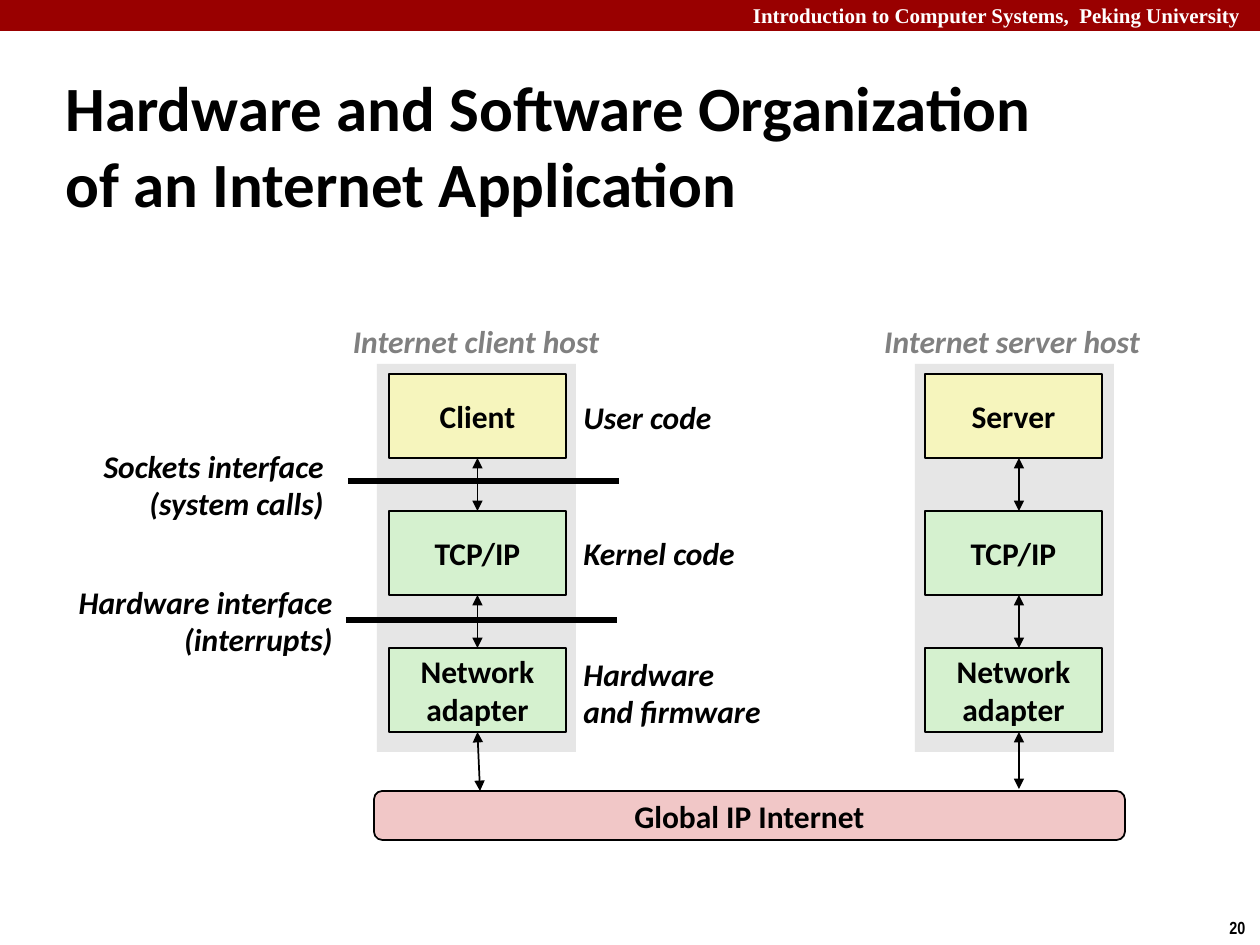
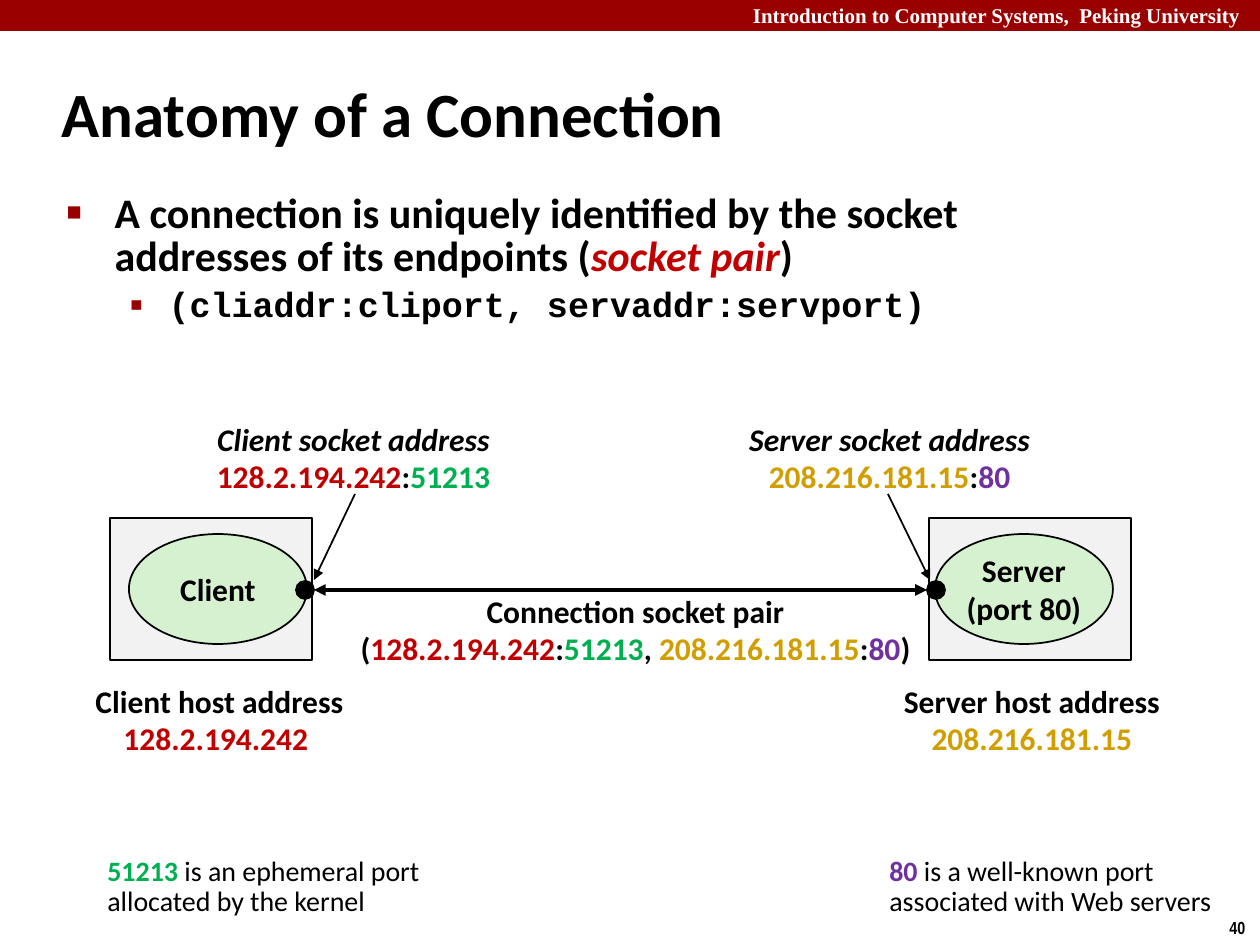
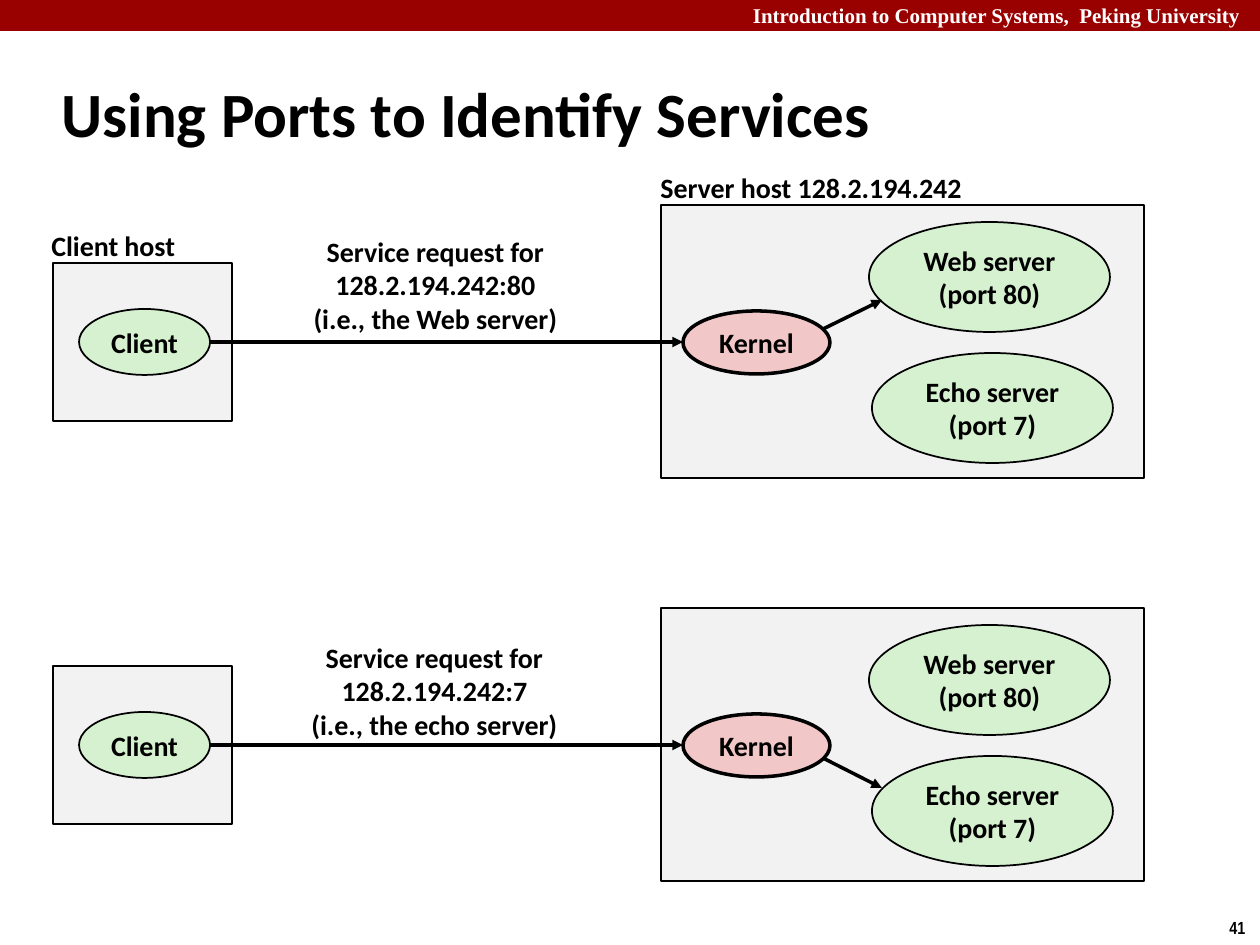
from dataclasses import dataclass
from typing import Optional, Sequence, Union

from lxml import etree
from pptx import Presentation
from pptx import util as u
from pptx.dml.color import RGBColor
from pptx.enum import shapes, text
from pptx.oxml import ns

PX = 914400 / 126

BLACK = RGBColor(0x00, 0x00, 0x00)
WHITE = RGBColor(0xFF, 0xFF, 0xFF)
DARK_RED = RGBColor(0x99, 0x00, 0x00)
RED = RGBColor(0xC0, 0x00, 0x00)
GREEN = RGBColor(0x00, 0xB0, 0x50)
GOLD = RGBColor(0xD0, 0x9E, 0x00)
PURPLE = RGBColor(0x70, 0x30, 0xA0)
GREY = RGBColor(0x80, 0x80, 0x80)
PANEL_GREY = RGBColor(0xE6, 0xE6, 0xE6)
HOST_GREY = RGBColor(0xF2, 0xF2, 0xF2)
PALE_GREEN = RGBColor(0xD5, 0xF1, 0xCF)
PALE_YELLOW = RGBColor(0xF6, 0xF5, 0xBD)
PALE_RED = RGBColor(0xF1, 0xC7, 0xC7)

RECT = shapes.MSO_SHAPE.RECTANGLE
OVAL = shapes.MSO_SHAPE.OVAL
ROUNDED = shapes.MSO_SHAPE.ROUNDED_RECTANGLE
LEFT, CENTER, RIGHT = text.PP_ALIGN.LEFT, text.PP_ALIGN.CENTER, text.PP_ALIGN.RIGHT
TOP, MIDDLE = text.MSO_ANCHOR.TOP, text.MSO_ANCHOR.MIDDLE


@dataclass(frozen=True)
class Style:
    size: int
    bold: bool = True
    italic: bool = False
    color: RGBColor = BLACK
    font: str = "Calibri"


@dataclass(frozen=True)
class Run:
    text: str
    color: Optional[RGBColor] = None
    bold: Optional[bool] = None
    italic: Optional[bool] = None


@dataclass(frozen=True)
class Box:
    left: int
    top: int
    width: int
    height: int

    def emu(self) -> tuple[int, ...]:
        return tuple(px(v) for v in (self.left, self.top, self.width, self.height))

    def down(self, distance: int) -> "Box":
        return Box(self.left, self.top + distance, self.width, self.height)


@dataclass(frozen=True)
class Label:
    box: Box
    lines: tuple
    align: text.PP_ALIGN


@dataclass(frozen=True)
class Stack:
    panel_left: int
    layer_left: int
    arrow_x: int
    internet_end: tuple[int, int]
    program: str
    arrows_centred: bool


@dataclass(frozen=True)
class Endpoint:
    host_left: int
    process_left: int
    process: tuple
    socket_left: int
    pointer: tuple
    socket_address: Label
    host_address: Label
    port_note: Label


@dataclass(frozen=True)
class Request:
    offset: int
    box: Box
    lines: tuple
    service_start: tuple[int, int]
    service_end: tuple[int, int]


Line = Union[str, Sequence[Run]]

TITLE = Style(36)
DIAGRAM = Style(18)
DIAGRAM_ITALIC = Style(18, italic=True)
PORTS = Style(16)
NOTE = Style(16, bold=False)
HOST_NAME = Style(18, italic=True, color=GREY)
COURSE = Style(12, color=WHITE, font="Times New Roman")
PAGE_NUMBER = Style(10, font="Arial Narrow")
CODE = Style(20, font="Courier New")
TITLE_BOX = Box(49, 60, 1046, 105)


def px(value: float) -> int:
    return round(value * PX)


def write_line(paragraph, line: Line, style: Style, align=LEFT) -> None:
    plain = isinstance(line, str)
    paragraph.alignment = align
    font = paragraph.font
    font.name, font.size, font.bold = style.font, u.Pt(style.size), style.bold
    font.italic = style.italic and plain
    font.color.rgb = style.color
    if plain:
        paragraph.text = line
        return
    for part in line:
        run = paragraph.add_run()
        run.text = part.text
        if part.color is not None:
            run.font.color.rgb = part.color
        if part.bold is not None:
            run.font.bold = part.bold
        if part.italic is not None:
            run.font.italic = part.italic


def write(frame, lines: Sequence[Line], style: Style, align=LEFT,
          spacing: Optional[float] = None) -> None:
    for index, line in enumerate(lines):
        paragraph = frame.add_paragraph() if index else frame.paragraphs[0]
        write_line(paragraph, line, style, align)
        if spacing:
            paragraph.line_spacing = spacing


def add_text(slide, box: Box, lines: Sequence[Line], style: Style, align=LEFT,
             anchor=TOP, wrap: bool = False, spacing: Optional[float] = None) -> None:
    frame = slide.shapes.add_textbox(*box.emu()).text_frame
    frame.word_wrap = wrap
    frame.auto_size = text.MSO_AUTO_SIZE.SHAPE_TO_FIT_TEXT
    frame.vertical_anchor = anchor
    write(frame, lines, style, align, spacing)


def add_block(slide, kind, box: Box, fill: RGBColor, lines: Sequence[Line] = (),
              style: Style = DIAGRAM, line_width: float = 1):
    block = slide.shapes.add_shape(kind, *box.emu())
    block.shadow.inherit = False
    block.fill.solid()
    block.fill.fore_color.rgb = fill
    if line_width:
        block.line.color.rgb = BLACK
        block.line.width = u.Pt(line_width)
    else:
        block.line.fill.background()
    if lines:
        block.text_frame.word_wrap = False
        block.text_frame.vertical_anchor = MIDDLE
        write(block.text_frame, lines, style, CENTER)
    return block


def add_line(slide, start: tuple[int, int], end: tuple[int, int], width: float = 1,
             head: bool = False, tail: bool = False):
    line = slide.shapes.add_connector(
        shapes.MSO_CONNECTOR.STRAIGHT, *(px(v) for v in (*start, *end)))
    line.line.color.rgb = BLACK
    line.line.width = u.Pt(width)
    outline = line.line._get_or_add_ln()
    for tag, wanted in (("a:headEnd", head), ("a:tailEnd", tail)):
        if wanted:
            etree.SubElement(outline, ns.qn(tag), type="triangle")
    etree.SubElement(line.element.spPr, ns.qn("a:effectLst"))
    return line


def add_bullet(paragraph, mark: str, size: int, margin: int, indent: int) -> None:
    properties = paragraph._p.get_or_add_pPr()
    properties.set("marL", str(px(margin)))
    properties.set("indent", str(px(indent)))
    color = etree.SubElement(properties, ns.qn("a:buClr"))
    etree.SubElement(color, ns.qn("a:srgbClr"), val=str(DARK_RED))
    etree.SubElement(properties, ns.qn("a:buSzPct"), val=str(size * 1000))
    etree.SubElement(properties, ns.qn("a:buChar"), char=mark)


def place(placeholder, box: Box) -> None:
    placeholder.left, placeholder.top, placeholder.width, placeholder.height = box.emu()
    placeholder.text_frame.auto_size = text.MSO_AUTO_SIZE.NONE


def start_slide(prs, layout: int, title: str, number: int, title_box: Box = TITLE_BOX):
    slide = prs.slides.add_slide(prs.slide_layouts[layout])
    add_block(slide, RECT, Box(0, 0, 1260, 31), DARK_RED, line_width=0)
    add_text(slide, Box(598, -4, 660, 38),
             ["Introduction to Computer Systems,  Peking University "],
             COURSE, RIGHT, wrap=True)
    add_text(slide, Box(1217, 911, 43, 34), [str(number)], PAGE_NUMBER)
    heading = slide.shapes.title
    place(heading, title_box)
    heading.text_frame.vertical_anchor = MIDDLE
    write(heading.text_frame, [title], TITLE)
    return slide


def draw_stack(slide, stack: Stack) -> None:
    add_block(slide, RECT, Box(stack.panel_left, 364, 199, 388), PANEL_GREY, line_width=0)
    layers = (((stack.program,), PALE_YELLOW), (("TCP/IP",), PALE_GREEN),
              (("Network", "adapter"), PALE_GREEN))
    tops = [374 + 137 * i for i in range(len(layers))]
    blocks = [add_block(slide, RECT, Box(stack.layer_left, top, 177, 84), fill, lines)
              for top, (lines, fill) in zip(tops, layers)]
    ends = [(stack.arrow_x, top) for top in tops[1:]] + [stack.internet_end]
    for index, (top, end) in enumerate(zip(tops, ends)):
        arrow = add_line(slide, (stack.arrow_x, top + 84), end, head=True, tail=True)
        if stack.arrows_centred:
            arrow.begin_connect(blocks[index], 2)
            if index + 1 < len(blocks):
                arrow.end_connect(blocks[index + 1], 0)


def organization_slide(prs) -> None:
    slide = start_slide(prs, 5, "Hardware and Software Organization \vof an Internet Application",
                        20, Box(53, 69, 1120, 151))
    for stack in (Stack(377, 389, 479, (480, 791), "Client", True),
                  Stack(915, 925, 1019, (1019, 789), "Server", False)):
        draw_stack(slide, stack)
    internet = add_block(slide, ROUNDED, Box(374, 791, 751, 49), PALE_RED,
                         ["Global IP Internet"])
    internet.adjustments[0] = 0.17
    for box, name in ((Box(338, 316, 276, 50), "Internet client host"),
                      (Box(869, 316, 286, 50), "Internet server host")):
        add_text(slide, box, [name], HOST_NAME, CENTER, MIDDLE)
    for label in (
        Label(Box(88, 440, 248, 89), ("Sockets interface", "(system calls)"), RIGHT),
        Label(Box(63, 576, 282, 89), ("Hardware interface", "(interrupts)"), RIGHT),
        Label(Box(571, 392, 155, 50), ("User code",), LEFT),
        Label(Box(571, 528, 179, 50), ("Kernel code",), LEFT),
        Label(Box(571, 648, 205, 89), ("Hardware", "and firmware"), LEFT),
    ):
        add_text(slide, label.box, label.lines, DIAGRAM_ITALIC, label.align, MIDDLE)
    for left, y in ((348, 481), (346, 620)):
        add_line(slide, (left, y), (left + 271, y), 3)


def connection_slide(prs) -> None:
    slide = start_slide(prs, 1, "Anatomy of a Connection", 40)
    body = slide.placeholders[1]
    place(body, Box(54, 188, 1089, 159))
    statement = body.text_frame.paragraphs[0]
    add_bullet(statement, "■", 60, 48, -48)
    write_line(statement, [
        Run("A connection is uniquely identified by the socket addresses of its endpoints ("),
        Run("socket pair", RED, italic=True), Run(")")], Style(24))
    statement.line_spacing, statement.space_before = 0.85, u.Pt(4.8)
    pair = body.text_frame.add_paragraph()
    pair.level = 1
    add_bullet(pair, "▪", 110, 102, -39)
    write_line(pair, "(cliaddr:cliport, servaddr:servport)", CODE)
    pair.line_spacing, pair.space_before = 0.9, u.Pt(4)

    client_ip, client_port = Run("128.2.194.242", RED), Run("51213", GREEN)
    server_ip, server_port = Run("208.216.181.15", GOLD), Run("80", PURPLE)
    colon = Run(":")
    client_socket = (client_ip, colon, client_port)
    server_socket = (server_ip, colon, server_port)
    endpoints = (
        Endpoint(
            110, 129, ("Client",), 296, ((355, 494), (314, 580)),
            Label(Box(203, 413, 301, 89), ("Client socket address", client_socket), CENTER),
            Label(Box(82, 675, 275, 89),
                  ("Client host address", (Run("128.2.194.242 ", RED),)), CENTER),
            Label(Box(95, 851, 353, 74),
                  ((Run("51213 ", GREEN, True), Run("is an ephemeral port")),
                   "allocated by the kernel"), LEFT)),
        Endpoint(
            929, 935, ("Server", "(port 80)"), 927, ((888, 494), (930, 580)),
            Label(Box(711, 413, 357, 89), ("Server socket address", server_socket), CENTER),
            Label(Box(890, 675, 284, 89), ("Server host address", (server_ip,)), CENTER),
            Label(Box(877, 851, 352, 74),
                  ((Run("80 ", PURPLE, True), Run("is a well-known port")),
                   "associated with Web servers"), LEFT)),
    )
    for end in endpoints:
        add_block(slide, RECT, Box(end.host_left, 518, 202, 142), HOST_GREY)
        add_block(slide, OVAL, Box(end.process_left, 534, 178, 110), PALE_GREEN, end.process)
        add_block(slide, OVAL, Box(end.socket_left, 581, 18, 18), BLACK)
        add_line(slide, *end.pointer, tail=True)
        for label, style in ((end.socket_address, DIAGRAM_ITALIC), (end.host_address, DIAGRAM)):
            add_text(slide, label.box, label.lines, style, label.align, MIDDLE)
        add_text(slide, end.port_note.box, end.port_note.lines, NOTE, spacing=0.9)
    add_line(slide, (314, 590), (927, 590), 2.25, head=True, tail=True)
    add_text(slide, Box(345, 585, 581, 89),
             ["Connection socket pair",
              (Run("("), *client_socket, Run(", "), *server_socket, Run(")"))],
             DIAGRAM, CENTER, MIDDLE)


def draw_request(slide, request: Request) -> None:
    offset = request.offset
    for host in (Box(53, 263, 179, 158), Box(661, 205, 483, 273)):
        add_block(slide, RECT, host.down(offset), HOST_GREY)
    for box, lines in ((Box(79, 309, 131, 66), ("Client",)),
                       (Box(869, 222, 241, 110), ("Web server", "(port 80)")),
                       (Box(872, 353, 241, 110), ("Echo server", "(port 7)"))):
        add_block(slide, OVAL, box.down(offset), PALE_GREEN, lines, PORTS)
    add_line(slide, (210, 342 + offset), (683, 342 + offset), 2, tail=True)
    add_line(slide, request.service_start, request.service_end, 2, tail=True)
    add_block(slide, OVAL, Box(683, 311, 147, 63).down(offset), PALE_RED, ["Kernel"], PORTS, 2)
    add_text(slide, request.box, request.lines, PORTS, CENTER)


def ports_slide(prs) -> None:
    slide = start_slide(prs, 5, "Using Ports to Identify Services", 41)
    for request in (
        Request(0, Box(253, 228, 365, 113),
                ("Service request for", "128.2.194.242:80", "(i.e., the Web server)"),
                (819, 331), (882, 300)),
        Request(403, Box(297, 634, 275, 115),
                ("Service request for", "128.2.194.242:7", "(i.e., the echo server)"),
                (819, 756), (882, 788)),
    ):
        draw_request(slide, request)
    add_text(slide, Box(39, 222, 150, 47), ["Client host"], PORTS)
    add_text(slide, Box(648, 164, 331, 47), ["Server host 128.2.194.242"], PORTS)


def main() -> None:
    prs = Presentation()
    prs.slide_width, prs.slide_height = px(1260), px(945)
    organization_slide(prs)
    connection_slide(prs)
    ports_slide(prs)
    prs.save("out.pptx")


if __name__ == "__main__":
    main()
